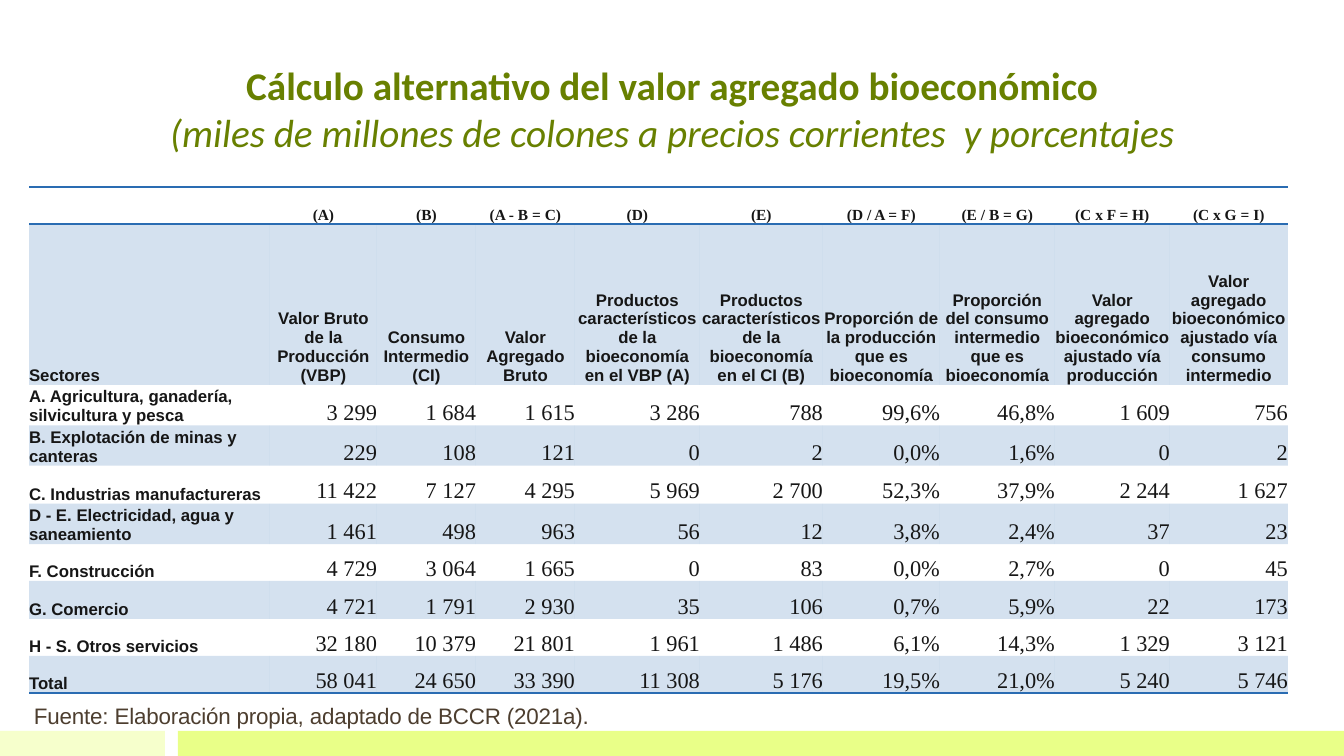
from lxml import etree
from pptx import Presentation, util as u
from pptx.dml.color import RGBColor
from pptx.enum import shapes, text
from pptx.oxml.ns import qn

GREEN, INK, BROWN, BLUE = "688000", "161616", "4D3E2F", "2A6CB2"
ALIGN, ANCHOR = text.PP_ALIGN, text.MSO_ANCHOR

HEADINGS = [
    ["", "(A)", "(B)", "(A - B = C)", "(D)", "(E)", "(D / A = F)", "(E / B = G)", "(C x F = H)", "(C x G = I)"],
    ["Sectores", "Valor Bruto de la Producción (VBP)", "Consumo Intermedio (CI)", "Valor Agregado Bruto",
     "Productos característicos de la bioeconomía en el VBP (A)",
     "Productos característicos de la bioeconomía en el CI (B)",
     "Proporción de la producción que es bioeconomía",
     "Proporción del consumo intermedio que es bioeconomía",
     "Valor agregado bioeconómico ajustado vía producción",
     "Valor agregado bioeconómico ajustado vía consumo intermedio"],
]
SECTORS = [
    ["A. Agricultura, ganadería, silvicultura y pesca",
     "3 299", "1 684", "1 615", "3 286", "788", "99,6%", "46,8%", "1 609", "756"],
    ["B. Explotación de minas y canteras", "229", "108", "121", "0", "2", "0,0%", "1,6%", "0", "2"],
    ["C. Industrias manufactureras",
     "11 422", "7 127", "4 295", "5 969", "2 700", "52,3%", "37,9%", "2 244", "1 627"],
    ["D - E. Electricidad, agua y saneamiento",
     "1 461", "498", "963", "56", "12", "3,8%", "2,4%", "37", "23"],
    ["F. Construcción", "4 729", "3 064", "1 665", "0", "83", "0,0%", "2,7%", "0", "45"],
    ["G. Comercio", "4 721", "1 791", "2 930", "35", "106", "0,7%", "5,9%", "22", "173"],
    ["H - S. Otros servicios",
     "32 180", "10 379", "21 801", "1 961", "1 486", "6,1%", "14,3%", "1 329", "3 121"],
    ["Total", "58 041", "24 650", "33 390", "11 308", "5 176", "19,5%", "21,0%", "5 240", "5 746"],
]
COLUMN_WIDTHS = [241, 107, 99, 99, 125, 123, 117, 115, 115, 118]
ROW_HEIGHTS = [37, 161, 38, 37, 38, 37, 37, 38, 37, 37]


def px(length):
    return u.Emu(round(length * 914400 / 100.8))


def colour(code):
    return RGBColor.from_string(code)


class Slide:
    """Draws the elements of one slide in a shared style."""

    def __init__(self, deck):
        self.shapes = deck.slides.add_slide(deck.slide_layouts[6]).shapes

    def band(self, left, top, width, height, fill):
        band = self.shapes.add_shape(shapes.MSO_SHAPE.RECTANGLE, px(left), px(top), px(width), px(height))
        band.shadow.inherit = False
        band.fill.solid()
        band.fill.fore_color.rgb = colour(fill)
        band.line.fill.background()

    def style(self, run, name, size, ink, bold=False, italic=False):
        run.font.name, run.font.size = name, u.Pt(size)
        run.font.bold, run.font.italic = bold, italic
        run.font.color.rgb = colour(ink)

    def words(self, left, top, width, height, content, align, anchor):
        frame = self.shapes.add_textbox(px(left), px(top), px(width), px(height)).text_frame
        frame.word_wrap = True
        frame.vertical_anchor = anchor
        frame.text = content
        frame.paragraphs[0].alignment = align
        return frame.paragraphs[0]

    def border(self, cell, *sides):
        properties = cell._tc.get_or_add_tcPr()
        for place, side in enumerate(("lnL", "lnR", "lnT", "lnB")):
            line = etree.Element(qn(f"a:{side}"), w=str(u.Pt(1)))
            if side in sides:
                fill = etree.SubElement(line, qn("a:solidFill"))
                etree.SubElement(fill, qn("a:srgbClr"), val=BLUE)
            else:
                etree.SubElement(line, qn("a:noFill"))
            properties.insert(place, line)

    def shade(self, cell, shaded):
        if not shaded:
            cell.fill.background()
            return
        cell.fill.solid()
        cell.fill.fore_color.rgb = colour(BLUE)
        tint = cell._tc.tcPr.find(".//" + qn("a:srgbClr"))
        etree.SubElement(tint, qn("a:alpha"), val="20000")

    def cell(self, cell, content, row, column):
        cell.margin_left = cell.margin_right = cell.margin_top = cell.margin_bottom = 0
        cell.vertical_anchor = ANCHOR.BOTTOM
        cell.text = content
        paragraph = cell.text_frame.paragraphs[0]
        paragraph.space_after = u.Pt(6)
        paragraph.alignment = ALIGN.LEFT if column == 0 else ALIGN.CENTER if row < 2 else ALIGN.RIGHT
        for run in paragraph.runs:
            if row == 0:
                self.style(run, "Times New Roman", 11, INK, bold=True)
            elif row == 1 or column == 0:
                self.style(run, "Arial", 12, INK, bold=True)
            else:
                self.style(run, "Times New Roman", 16, INK)
        self.shade(cell, row % 2 == 1)

    def table(self, left, top, widths, heights, rows):
        table = self.shapes.add_table(len(rows), len(widths), px(left), px(top),
                                      px(sum(widths)), px(sum(heights))).table
        table.first_row = table.horz_banding = False
        for column, width in zip(table.columns, widths):
            column.width = px(width)
        for row, height in zip(table.rows, heights):
            row.height = px(height)
        edges = {0: ("lnT", "lnB"), 1: ("lnT",), len(rows) - 1: ("lnB",)}
        for r, values in enumerate(rows):
            for c, value in enumerate(values):
                self.cell(table.cell(r, c), value, r, c)
                self.border(table.cell(r, c), *edges.get(r, ()))


def main():
    deck = Presentation()
    deck.slide_width, deck.slide_height = px(1344), px(756)
    slide = Slide(deck)
    slide.band(0, 731, 165, 25, "F6FFCC")
    slide.band(178, 731, 1166, 25, "E9FF88")

    title = slide.words(155, 30, 1034, 130,
                        "Cálculo alternativo del valor agregado bioeconómico\v"
                        "(miles de millones de colones a precios corrientes  y porcentajes",
                        ALIGN.CENTER, ANCHOR.BOTTOM)
    heading, units = title.runs
    slide.style(heading, "Calibri", 28, GREEN, bold=True)
    slide.style(units, "Calibri", 28, GREEN, italic=True)

    slide.table(29, 187, COLUMN_WIDTHS, ROW_HEIGHTS, HEADINGS + SECTORS)

    credit = slide.words(24, 697, 672, 37, "Fuente: Elaboración propia, adaptado de BCCR (2021a).",
                         ALIGN.JUSTIFY, ANCHOR.TOP)
    credit.space_before = u.Pt(6)
    slide.style(credit.runs[0], "Arial", 16, BROWN)
    credit.runs[0].font._element.set("spc", "-10")
    deck.save("out.pptx")


if __name__ == "__main__":
    main()
